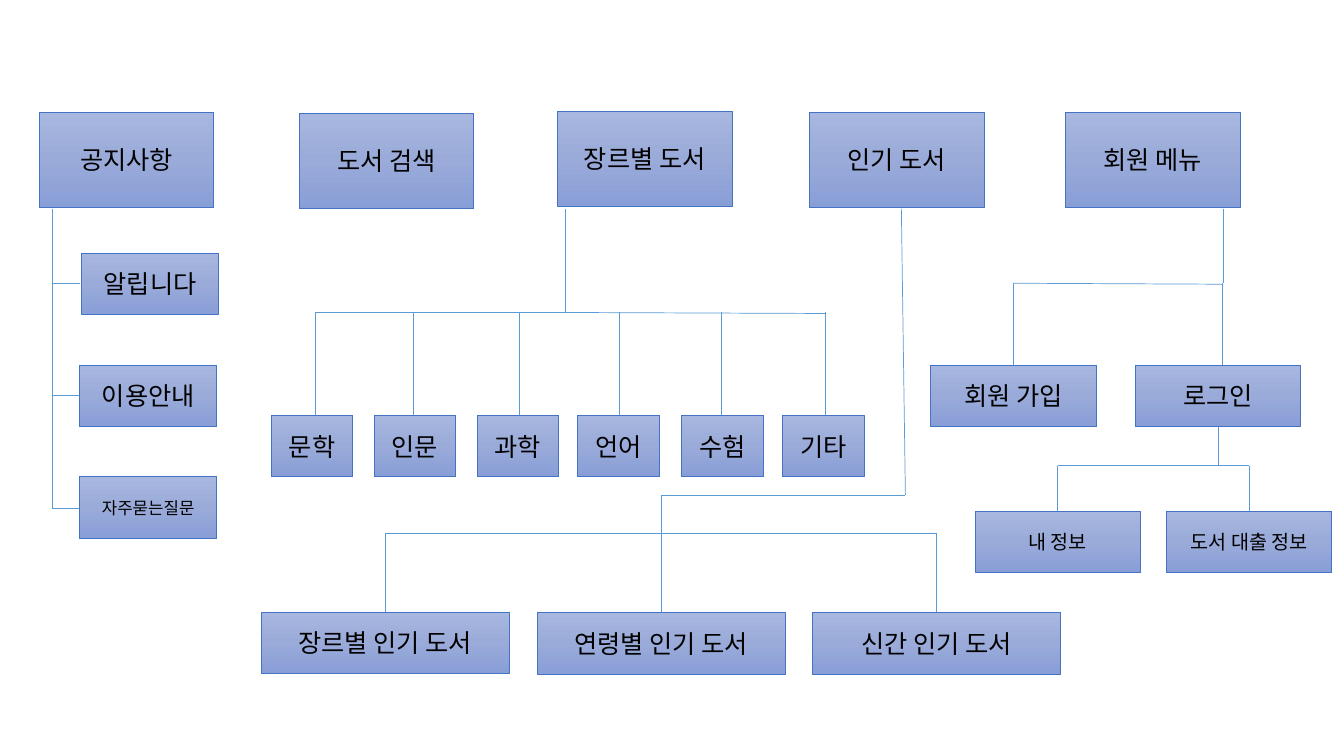
from copy import deepcopy
from typing import NamedTuple

from lxml import etree
from pptx import Presentation
from pptx import util as u
from pptx.dml.color import RGBColor
from pptx.enum import shapes, text
from pptx.oxml.ns import qn

FONT = "Noto Sans CJK KR"
GRADIENT = [(0, "A8B7DF"), (0.5, "9AABD9"), (1, "889ED7")]
BORDER, LINK, INK = "4472C4", "5B9BD5", "000000"


class Box(NamedTuple):
    label: str
    left: float
    top: float
    width: float
    height: float = 0.61
    size: int = 18


class Line(NamedTuple):
    x1: float
    y1: float
    x2: float
    y2: float


def rgb(value: str) -> RGBColor:
    return RGBColor.from_string(value)


def fill_gradient(sp) -> None:
    sp.fill.gradient()
    sp.fill.gradient_angle = 270
    first = sp._element.spPr.find(".//" + qn("a:gs"))
    first.addnext(deepcopy(first))
    for stop, (position, color) in zip(sp.fill.gradient_stops, GRADIENT):
        stop.position = position
        stop.color.rgb = rgb(color)


def draw_box(s, box: Box) -> None:
    sp = s.shapes.add_shape(
        shapes.MSO_SHAPE.RECTANGLE,
        *map(u.Inches, (box.left, box.top, box.width, box.height)))
    sp.shadow.inherit = False
    fill_gradient(sp)
    sp.line.color.rgb = rgb(BORDER)
    sp.line.width = u.Pt(0.5)
    tf = sp.text_frame
    tf.text = box.label
    tf.word_wrap = True
    tf.vertical_anchor = text.MSO_ANCHOR.MIDDLE
    p = tf.paragraphs[0]
    p.alignment = text.PP_ALIGN.CENTER
    r = p.runs[0]
    r.font.size = u.Pt(box.size)
    r.font.color.rgb = rgb(INK)
    r.font.name = FONT
    etree.SubElement(r.font._element, qn("a:ea"), typeface=FONT)


def draw_line(s, line: Line, kind=shapes.MSO_CONNECTOR.STRAIGHT):
    c = s.shapes.add_connector(kind, *map(u.Inches, line))
    c.line.color.rgb = rgb(LINK)
    c.line.width = u.Pt(0.5)
    etree.SubElement(c._element.spPr, qn("a:effectLst"))
    return c


def drops(xs: list[float], top: float, bottom: float) -> list[Line]:
    return [Line(x, top, x, bottom) for x in xs]


prs = Presentation()
prs.slide_width, prs.slide_height = u.Inches(13.33), u.Inches(7.5)
s = prs.slides.add_slide(prs.slide_layouts[6])

# Main menus
boxes = [Box(label, left, top, 1.73, 0.95) for label, left, top in [
    ("공지사항", 0.39, 1.11), ("도서 검색", 2.97, 1.12),
    ("장르별 도서", 5.53, 1.1), ("인기 도서", 8.03, 1.11),
    ("회원 메뉴", 10.57, 1.11)]]

# Notices
boxes += [Box("알립니다", 0.81, 2.51, 1.36),
          Box("이용안내", 0.79, 3.62, 1.36),
          Box("자주묻는질문", 0.79, 4.73, 1.36, size=12)]
lines = [Line(0.52, 2.07, 0.52, 5.04)]
lines += [Line(0.52, y, 0.79, y) for y in (2.81, 3.92, 5.04)]

# Genres
genres = ["문학", "인문", "과학", "언어", "수험", "기타"]
genre_lefts = [2.69, 3.71, 4.73, 5.73, 6.76, 7.76]
boxes += [Box(label, left, 4.12, 0.81)
          for label, left in zip(genres, genre_lefts)]
lines += [Line(5.61, 3.1, 8.19, 3.11), Line(4.11, 3.1, 3.13, 3.1)]
lines += drops([3.13, 5.15, 6.14, 7.15, 8.19], 3.1, 4.12)

# Popular books
boxes += [Box("장르별 인기 도서", 2.59, 6.07, 2.46),
          Box("연령별 인기 도서", 5.33, 6.08, 2.46),
          Box("신간 인기 도서", 8.06, 6.08, 2.46)]
lines += [Line(8.94, 2.07, 8.98, 4.91), Line(8.98, 4.91, 6.56, 4.91),
          Line(6.56, 4.91, 6.56, 5.29), Line(3.82, 5.29, 9.29, 5.29)]
lines += drops([3.82, 6.56, 9.29], 5.29, 6.08)

# Members
boxes += [Box("회원 가입", 9.23, 3.62, 1.64),
          Box("로그인", 11.26, 3.62, 1.64),
          Box("내 정보", 9.67, 5.07, 1.64, size=14),
          Box("도서 대출 정보", 11.57, 5.07, 1.64, size=14)]
lines += [Line(12.13, 2.07, 12.13, 2.81), Line(12.13, 2.82, 10.05, 2.81),
          Line(12.08, 4.24, 12.08, 4.62), Line(12.39, 4.62, 10.49, 4.62)]
lines += drops([10.05, 12.12], 2.81, 3.62)
lines += drops([10.49, 12.39], 4.62, 5.07)

# Links below boxes; the elbow is turned to leave its menu downwards
for line in lines:
    draw_line(s, line)
elbow = draw_line(s, Line(3.83, 2.34, 5.88, 3.85), shapes.MSO_CONNECTOR.ELBOW)
elbow._element.spPr.find(qn("a:xfrm")).set("rot", "5400000")
for box in boxes:
    draw_box(s, box)

prs.save("out.pptx")
